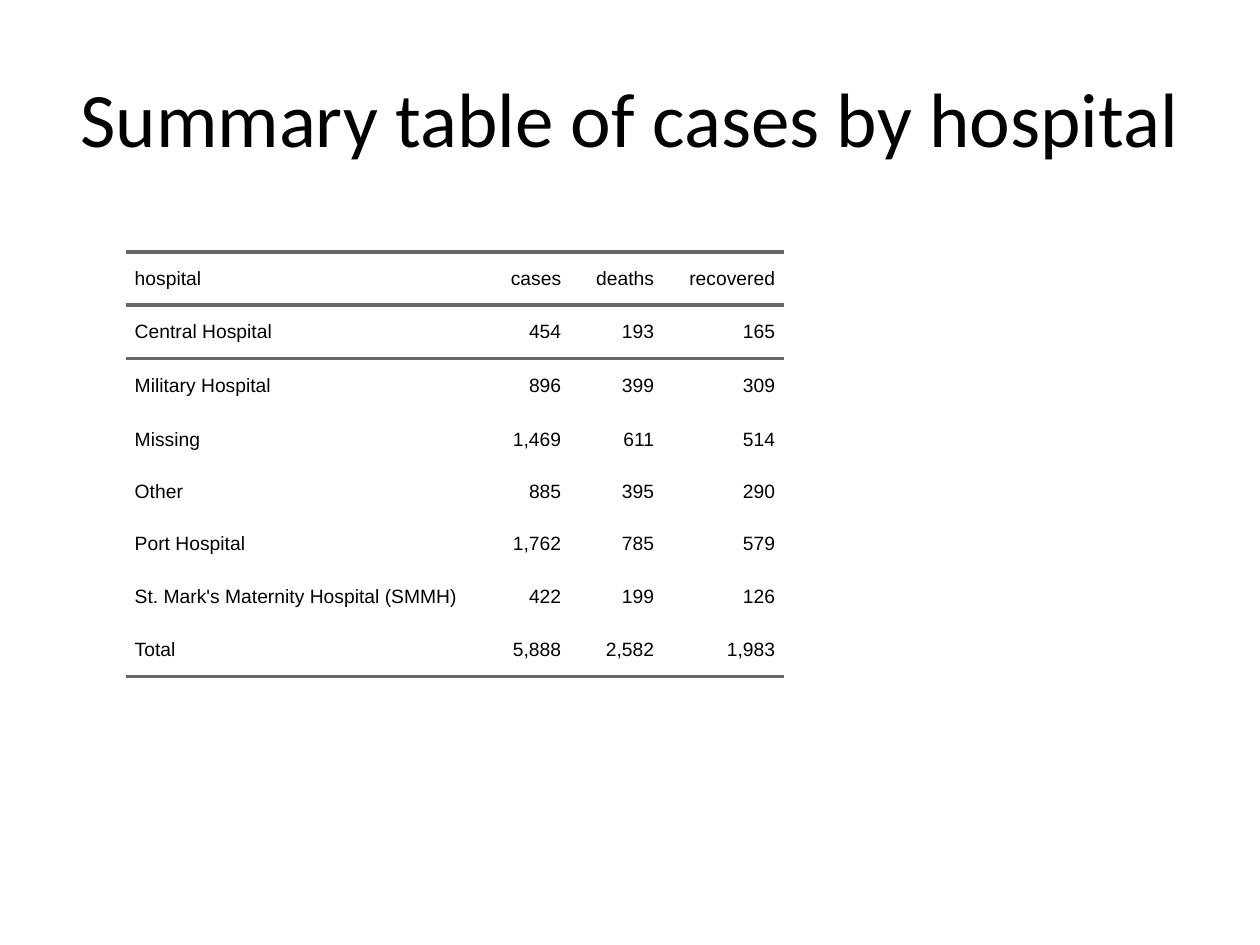
"""Build a slide with a summary table of cases by hospital."""
from lxml.etree import SubElement as Sub
from pptx import Presentation as Deck
from pptx.dml.color import RGBColor as Rgb
from pptx.enum.text import MSO_ANCHOR as Anchor, PP_ALIGN as Align
from pptx.oxml.ns import qn
from pptx.util import Emu, Pt

HUES = {"text": "000000", "rule": "666666"}
PLAIN = "{2D5ABB26-0587-4C30-8999-92F81FD0307C}"
WIDTHS = [358, 86, 93, 121]
HEIGHTS = [53, 54, 54, 54, 50, 53, 54, 53]
ROWS = [
    ["hospital", "cases", "deaths", "recovered"],
    ["Central Hospital", "454", "193", "165"],
    ["Military Hospital", "896", "399", "309"],
    ["Missing", "1,469", "611", "514"],
    ["Other", "885", "395", "290"],
    ["Port Hospital", "1,762", "785", "579"],
    ["St. Mark's Maternity Hospital (SMMH)", "422", "199", "126"],
    ["Total", "5,888", "2,582", "1,983"],
]
EDGES = {0: ["lnT", "lnB"], 1: ["lnT"], len(ROWS) - 1: ["lnB"]}
CELL = {"margin_left": 0, "margin_right": 0, "margin_top": 0,
        "margin_bottom": 0, "vertical_anchor": Anchor.MIDDLE}
PARA = {"space_before": Pt(5), "space_after": Pt(5)}
FLAGS = {"first_row": False, "horz_banding": False}


def px(num):
    return Emu(round(num * 914400 / 126))


def write(para, text, face, size, align):
    run = para.add_run()
    run.text = text
    for key, val in {"name": face, "size": Pt(size)}.items():
        setattr(run.font, key, val)
    run.font.color.rgb = Rgb.from_string(HUES["text"])
    para.alignment = align


deck = Deck()
deck.slide_width, deck.slide_height = px(1260), px(945)
slide = deck.slides.add_slide(deck.slide_layouts[6])

title = slide.shapes.add_textbox(px(63), px(38), px(1134), px(158)).text_frame
for key, val in {"word_wrap": True, "vertical_anchor": Anchor.MIDDLE}.items():
    setattr(title, key, val)
write(title.paragraphs[0], "Summary table of cases by hospital",
      "Calibri", 44, Align.CENTER)

table = slide.shapes.add_table(
    len(ROWS), len(WIDTHS), px(126), px(252),
    px(sum(WIDTHS)), px(sum(HEIGHTS))).table
for key, val in FLAGS.items():
    setattr(table, key, val)
table._tbl.tblPr.find(qn("a:tableStyleId")).text = PLAIN
for col, wide in zip(table.columns, WIDTHS):
    col.width = px(wide)
for row, high in zip(table.rows, HEIGHTS):
    row.height = px(high)

for r, row in enumerate(ROWS):
    for c, text in enumerate(row):
        cell = table.cell(r, c)
        for key, val in CELL.items():
            setattr(cell, key, val)
        para = cell.text_frame.paragraphs[0]
        for key, val in PARA.items():
            setattr(para, key, val)
        write(para, text, "Arial", 11, Align.RIGHT if c else Align.LEFT)
        for side in ("marL", "marR"):
            para._p.get_or_add_pPr().set(side, str(Pt(5)))
        for edge in EDGES.get(r, []):
            line = Sub(cell._tc.get_or_add_tcPr(), qn("a:" + edge), w=str(Pt(2)))
            fill = Sub(line, qn("a:solidFill"))
            Sub(fill, qn("a:srgbClr"), val=HUES["rule"])
        cell.fill.background()

deck.save("out.pptx")
